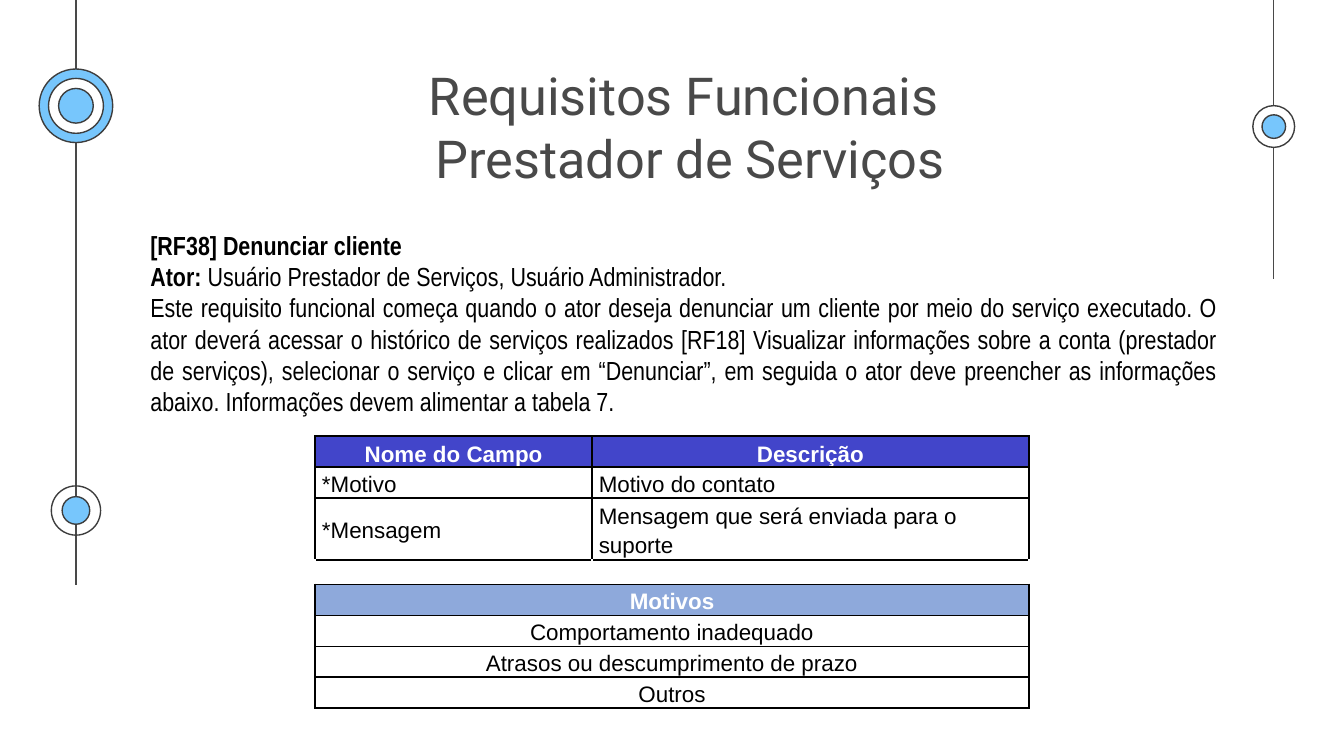
"""Build the slide on functional requirement RF38."""
from lxml.etree import SubElement as Sub
from pptx import Presentation
from pptx.dml.color import RGBColor as Rgb
from pptx.enum.shapes import MSO_CONNECTOR as Conn, MSO_SHAPE as Kind
from pptx.enum.text import MSO_ANCHOR as Anchor, MSO_AUTO_SIZE as Auto, PP_ALIGN as Align
from pptx.oxml.ns import qn
from pptx.util import Pt

HUES = {
    "white": "FFFFFF", "black": "000000", "gray": "494949", "rim": "3D3D3D",
    "sky": "77C6FC", "head": "4245CA", "band": "8EA9DB",
}
LEFT, RIGHT = 40.7, 682.4
LINES = [(LEFT, 313.2), (RIGHT, 149.4)]
DOTS = [
    (LEFT, 56.7, [(39.4, "sky"), (29.4, "white"), (18.6, "sky")]),
    (LEFT, 273.5, [(26.4, None), (14.8, "sky")]),
    (RIGHT, 67.8, [(22.4, "white"), (12.6, "sky")]),
]
TITLE = ["Requisitos Funcionais ", "Prestador de Serviços"]
BODY = [
    [("[RF38] Denunciar cliente", True)],
    [("Ator: ", True),
     ("Usuário Prestador de Serviços, Usuário Administrador.", False)],
    [("Este requisito funcional começa quando o ator deseja denunciar um "
      "cliente por meio do serviço executado. O ator deverá acessar o "
      "histórico de serviços realizados [RF18] Visualizar informações sobre "
      "a conta (prestador de serviços), selecionar o serviço e clicar em "
      "“Denunciar”, em seguida o ator deve preencher as informações abaixo. "
      "Informações devem alimentar a tabela 7.", False)],
]
FIELDS = [
    ("Nome do Campo", "Descrição"),
    ("*Motivo", "Motivo do contato"),
    ("*Mensagem", "Mensagem que será enviada para o suporte"),
]
CAUSES = ["Motivos", "Comportamento inadequado",
          "Atrasos ou descumprimento de prazo", "Outros"]


def color(name):
    return Rgb.from_string(HUES[name])


def add_run(para, text, face, size, hue, bold=False):
    run = para.add_run()
    run.text = text
    font = run.font
    font.name, font.size, font.bold = face, Pt(size), bold
    font.color.rgb = color(hue)


def add_line(slide, x, end):
    line = slide.shapes.add_connector(Conn.STRAIGHT, Pt(x), Pt(0), Pt(x), Pt(end))
    line.line.color.rgb = color("gray")
    line.line.width = Pt(0.75)
    Sub(line._element.spPr, qn("a:effectLst"))


def add_dot(slide, x, y, size, hue):
    dot = slide.shapes.add_shape(
        Kind.OVAL, Pt(x - size / 2), Pt(y - size / 2), Pt(size), Pt(size))
    dot.shadow.inherit = False
    dot.line.color.rgb = color("rim")
    dot.line.width = Pt(0.75)
    if hue:
        dot.fill.solid()
        dot.fill.fore_color.rgb = color(hue)
    else:
        dot.fill.background()


def add_title(slide):
    title = slide.shapes.title
    title.left, title.top, title.width, title.height = Pt(219.9), Pt(26.6), Pt(299.5), Pt(45.4)
    frame = title.text_frame
    frame.auto_size = Auto.NONE
    frame.vertical_anchor = Anchor.TOP
    frame.margin_left = frame.margin_right = Pt(7.2)
    frame.margin_top = frame.margin_bottom = Pt(7.2)
    para = frame.paragraphs[0]
    para.alignment = Align.CENTER
    for i, text in enumerate(TITLE):
        if i:
            para.add_line_break()
        add_run(para, text, "Roboto", 28, "gray")


def add_body(slide):
    box = slide.shapes.add_textbox(Pt(73.5), Pt(119.1), Pt(586.1), Pt(143.3))
    frame = box.text_frame
    frame.word_wrap = True
    for i, runs in enumerate(BODY):
        para = frame.add_paragraph() if i else frame.paragraphs[0]
        para.alignment = Align.JUSTIFY
        for text, bold in runs:
            add_run(para, text, "Arial Narrow", 14, "black", bold)


def add_edges(cell, sides):
    props = cell._tc.get_or_add_tcPr()
    for side in sides:
        edge = Sub(props, qn(f"a:ln{side}"), w=str(Pt(1)))
        fill = Sub(edge, qn("a:solidFill"))
        Sub(fill, qn("a:srgbClr"), val=HUES["black"])


def set_cell(cell, text="", fill=None, align=Align.LEFT, anchor=Anchor.MIDDLE, sides="LRTB"):
    add_edges(cell, sides)
    cell.margin_left = cell.margin_right = Pt(3.6)
    cell.margin_top = cell.margin_bottom = Pt(0)
    cell.vertical_anchor = anchor
    if fill:
        cell.fill.solid()
        cell.fill.fore_color.rgb = color(fill)
    else:
        cell.fill.background()
    para = cell.text_frame.paragraphs[0]
    para.alignment = align
    para.line_spacing = 1.15
    if text:
        add_run(para, text, "Arial", 12, "white" if fill else "black", bool(fill))
    else:
        Sub(para._p, qn("a:endParaRPr"), sz="800")


def add_grid(slide):
    gap = len(FIELDS)
    count = gap + 1 + len(CAUSES)
    grid = slide.shapes.add_table(count, 2, Pt(168.9), Pt(233.7), Pt(382.3), Pt(139)).table
    grid.first_row = grid.horz_banding = False
    for col, width in zip(grid.columns, (148.3, 234)):
        col.width = Pt(width)
    for i, row in enumerate(grid.rows):
        row.height = Pt(13.1 if i == gap else 15.1)
    for i, texts in enumerate(FIELDS):
        for j, text in enumerate(texts):
            if i:
                set_cell(grid.cell(i, j), text)
            else:
                set_cell(grid.cell(i, j), text, "head", Align.CENTER, Anchor.BOTTOM)
    for j in range(2):
        set_cell(grid.cell(gap, j), sides="TB")
    for i, text in enumerate(CAUSES, gap + 1):
        fill = "band" if i == gap + 1 else None
        first, last = grid.cell(i, 0), grid.cell(i, 1)
        first.merge(last)
        set_cell(first, text, fill, Align.CENTER)
        set_cell(last, fill=fill)


def main():
    deck = Presentation()
    deck.slide_width, deck.slide_height = Pt(720), Pt(405)
    slide = deck.slides.add_slide(deck.slide_layouts[5])
    for x, end in LINES:
        add_line(slide, x, end)
    for x, y, rings in DOTS:
        for size, hue in rings:
            add_dot(slide, x, y, size, hue)
    add_title(slide)
    add_body(slide)
    add_grid(slide)
    deck.save("out.pptx")


if __name__ == "__main__":
    main()
